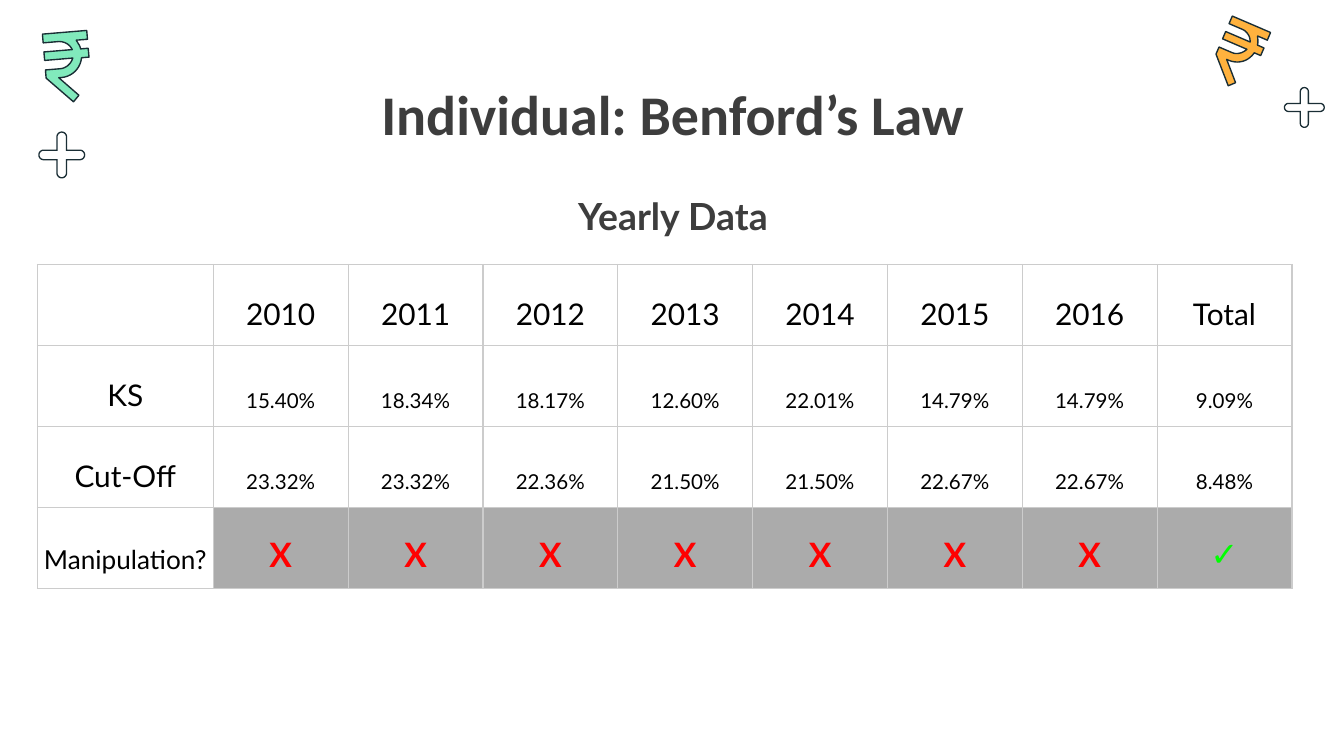
"""Builds the Benford's Law slide with its table of yearly results."""
from dataclasses import dataclass
from math import cos, pi, sin

from lxml.etree import SubElement
from pptx import Presentation
from pptx.dml.color import RGBColor
from pptx.enum.text import MSO_ANCHOR, PP_ALIGN
from pptx.oxml.ns import qn
from pptx.util import Pt

CENTER = PP_ALIGN.CENTER
TOP, BOTTOM = MSO_ANCHOR.TOP, MSO_ANCHOR.BOTTOM


@dataclass(frozen=True)
class Theme:
    heading: str = "3D3D3D"
    body: str = "000000"
    outline: str = "1A2E35"
    mint: str = "81EABC"
    amber: str = "FFB23E"
    border: str = "CCCCCC"
    verdict: str = "ABABAB"
    fail: str = "FF0000"
    passed: str = "00FF00"
    title_font: str = "Calibri"
    body_font: str = "Lato"
    symbol_font: str = "Roboto"
    title_size: float = 30
    subtitle_size: float = 20
    mark_size: float = 18
    label_size: float = 16
    question_size: float = 14
    value_size: float = 11
    line_width: float = 0.75


RUPEE_WIDTH, RUPEE_HEIGHT = 33, 52
RUPEE = [
    (0, 0), (0, 6.5), (11.6, 6.5), (15.6, 6.7, 19.4, 9, 21.1, 13.3),
    (0, 13.3), (0, 19.6), (21, 19.6), (19.5, 23.2, 15.9, 26.7, 11, 26.7),
    (0, 26.7), (0, 32.8), (18.8, 52), (23.2, 47.5), (9.4, 33.3), (11.4, 33.3),
    (19.4, 33.3, 25.9, 27.8, 27.5, 19.9), (33, 19.9), (33, 13.3), (27.3, 13.3),
    (27.3, 11, 25.5, 8.7, 24.7, 6.6), (33, 6.6), (33, 0),
]

HEADER = ["", "2010", "2011", "2012", "2013", "2014", "2015", "2016", "Total"]
KS = ["KS", "15.40%", "18.34%", "18.17%", "12.60%", "22.01%", "14.79%", "14.79%", "9.09%"]
CUT_OFF = ["Cut-Off", "23.32%", "23.32%", "22.36%", "21.50%", "21.50%", "22.67%", "22.67%", "8.48%"]
MANIPULATION = ["Manipulation?"] + ["X"] * 7 + ["✓"]


def flatten(outline, steps=10):
    points = [outline[0]]
    for segment in outline[1:]:
        if len(segment) == 2:
            points.append(segment)
            continue
        x0, y0 = points[-1]
        x1, y1, x2, y2, x3, y3 = segment
        for step in range(1, steps + 1):
            t = step / steps
            a, b, c, d = (1 - t) ** 3, 3 * t * (1 - t) ** 2, 3 * t * t * (1 - t), t ** 3
            points.append((a * x0 + b * x1 + c * x2 + d * x3,
                           a * y0 + b * y1 + c * y2 + d * y3))
    return points


def rounded_plus(x, y, reach, half, steps=12):
    points = []
    for turn in range(4):
        ux, uy = [(1, 0), (0, 1), (-1, 0), (0, -1)][turn]
        arm = [(reach - half + half * cos(a), half * sin(a))
               for a in (pi * (i / steps - 0.5) for i in range(steps + 1))]
        points += [(x + along * ux - across * uy, y + along * uy + across * ux)
                   for along, across in arm + [(half, half)]]
    return points


class SlideBuilder:
    def __init__(self, slide, theme):
        self.slide = slide
        self.theme = theme

    def style(self, paragraph, font_name, size, color, bold=False):
        paragraph.alignment = CENTER
        font = paragraph.font
        font.name, font.size, font.bold = font_name, Pt(size), bold
        font.color.rgb = RGBColor.from_string(color)

    def heading(self, text, top, font_name, size):
        box = self.slide.shapes.add_textbox(Pt(57), Pt(top), Pt(607), Pt(45.4))
        frame = box.text_frame
        frame.word_wrap = True
        frame.vertical_anchor = TOP
        frame.margin_left = frame.margin_right = Pt(7.2)
        frame.margin_top = frame.margin_bottom = Pt(7.2)
        frame.text = text
        self.style(frame.paragraphs[0], font_name, size, self.theme.heading, True)

    def outline(self, contours, fill):
        start, *rest = [[(Pt(x), Pt(y)) for x, y in contour] for contour in contours]
        builder = self.slide.shapes.build_freeform(*start[0])
        builder.add_line_segments(start[1:], close=True)
        for contour in rest:
            builder.move_to(*contour[0])
            builder.add_line_segments(contour[1:], close=True)
        shape = builder.convert_to_shape()
        shape.shadow.inherit = False
        shape.fill.solid()
        shape.fill.fore_color.rgb = RGBColor.from_string(fill)
        shape.line.fill.background()
        return shape

    def plus(self, x, y, reach, half, rim=0.7):
        self.outline([rounded_plus(x, y, reach, half),
                      rounded_plus(x, y, reach - rim, half - rim)], self.theme.outline)

    def rupee(self, x, y, width, rotation, fill):
        scale = width / RUPEE_WIDTH
        left, top = x - width / 2, y - RUPEE_HEIGHT * scale / 2
        sign = self.outline([[(left + px * scale, top + py * scale)
                              for px, py in flatten(RUPEE)]], fill)
        sign.rotation = rotation
        sign.line.color.rgb = RGBColor.from_string(self.theme.outline)
        sign.line.width = Pt(self.theme.line_width)

    def borders(self, cell):
        properties = cell._tc.get_or_add_tcPr()
        for side in ("a:lnL", "a:lnR", "a:lnT", "a:lnB"):
            line = SubElement(properties, qn(side), w=str(Pt(self.theme.line_width)))
            SubElement(SubElement(line, qn("a:solidFill")), qn("a:srgbClr"), val=self.theme.border)

    def cell(self, cell, text, font_name, size, color, bold, fill):
        cell.vertical_anchor = BOTTOM
        cell.margin_left = cell.margin_right = Pt(2.2)
        cell.margin_top = cell.margin_bottom = Pt(7.2)
        self.borders(cell)
        if fill:
            cell.fill.solid()
            cell.fill.fore_color.rgb = RGBColor.from_string(fill)
        else:
            cell.fill.background()
        cell.text = text
        paragraph = cell.text_frame.paragraphs[0]
        paragraph.line_spacing = 1.15
        self.style(paragraph, font_name, size, color, bold)

    def cell_style(self, row, column):
        theme = self.theme
        if row == 3 and column:
            passed = column == len(HEADER) - 1
            return (theme.symbol_font if passed else theme.body_font, theme.mark_size,
                    theme.passed if passed else theme.fail, True, theme.verdict)
        size = theme.label_size
        if row == 3:
            size = theme.question_size
        elif row and column:
            size = theme.value_size
        return theme.body_font, size, theme.body, False, None

    def table(self, rows, left, top, label_width, year_width, row_height):
        years = len(rows[0]) - 1
        table = self.slide.shapes.add_table(
            len(rows), years + 1, Pt(left), Pt(top),
            Pt(label_width + years * year_width), Pt(row_height * len(rows))).table
        table.first_row = table.horz_banding = False
        for column, width in zip(table.columns, [label_width] + [year_width] * years):
            column.width = Pt(width)
        for r, texts in enumerate(rows):
            table.rows[r].height = Pt(row_height)
            for c, text in enumerate(texts):
                self.cell(table.cell(r, c), text, *self.cell_style(r, c))


def main():
    theme = Theme()
    deck = Presentation()
    deck.slide_width, deck.slide_height = Pt(720), Pt(405)
    page = SlideBuilder(deck.slides.add_slide(deck.slide_layouts[6]), theme)
    page.plus(33.1, 83, 12.6, 2.9)
    page.plus(698.8, 57.6, 11, 2.5)
    page.rupee(663.5, 29.2, 22.3, 23.2, theme.amber)
    page.rupee(36.2, 36, 23.8, 355.2, theme.mint)
    page.heading("Individual: Benford’s Law", 35.3, theme.title_font, theme.title_size)
    page.table([HEADER, KS, CUT_OFF, MANIPULATION], 20, 141.7, 94.3, 72.25, 43.4)
    page.heading("Yearly Data", 96.5, theme.body_font, theme.subtitle_size)
    deck.save("out.pptx")


if __name__ == "__main__":
    main()
